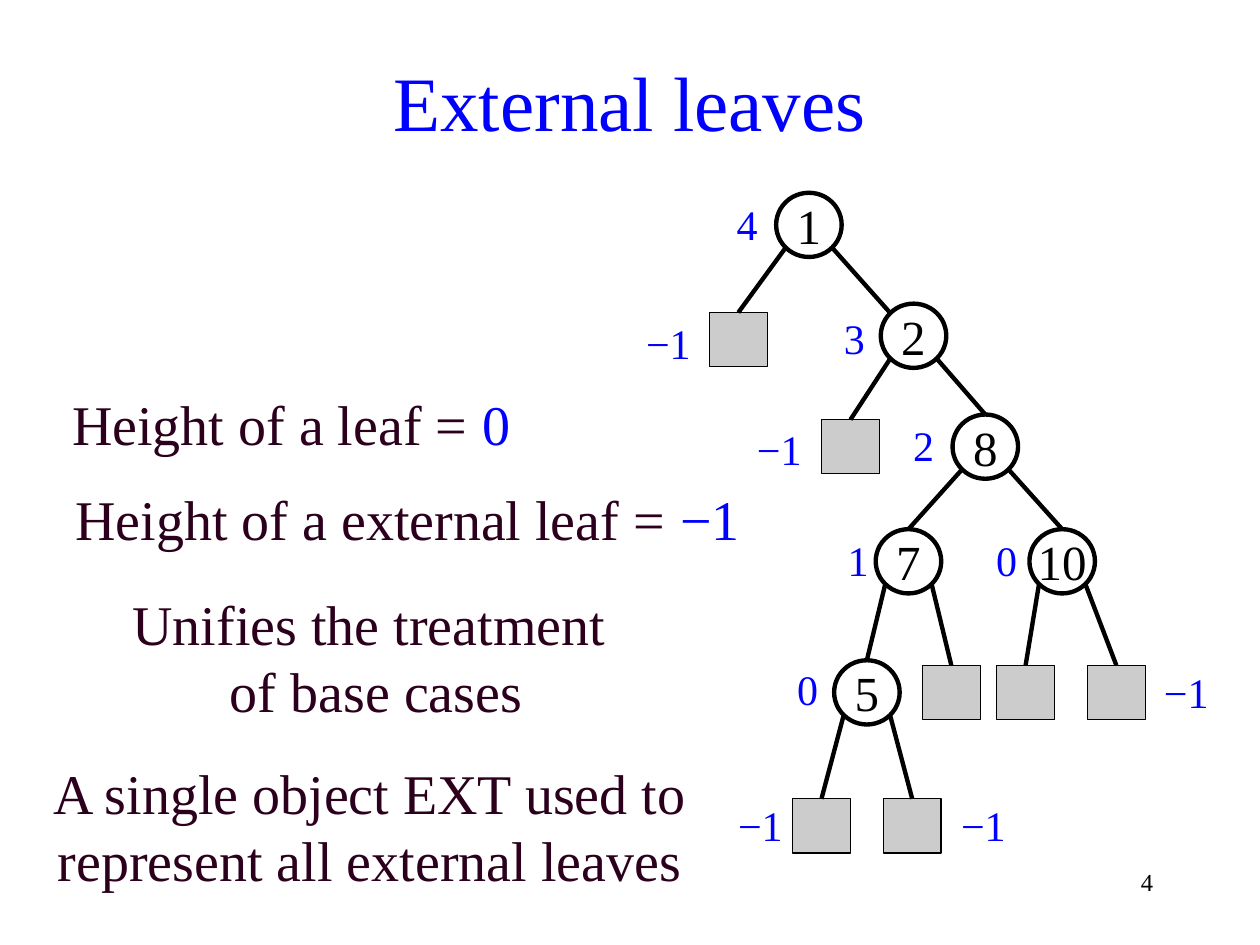
from dataclasses import dataclass
from math import sqrt
from typing import Optional

import pptx
import pptx.dml.color
import pptx.enum.shapes
import pptx.enum.text
import pptx.oxml.ns
import pptx.util
from lxml import etree

RGBColor = pptx.dml.color.RGBColor
BLACK = RGBColor(0x00, 0x00, 0x00)
BLUE = RGBColor(0x00, 0x00, 0xFF)
PLUM = RGBColor(0x2C, 0x00, 0x1D)
GREY = RGBColor(0xCC, 0xCC, 0xCC)

ALIGN = pptx.enum.text.PP_ALIGN
ANCHOR = pptx.enum.text.MSO_ANCHOR
SHAPE = pptx.enum.shapes.MSO_SHAPE

FONT = "Times New Roman"
COLUMNS, ROWS = 100, 75
CELL = pptx.util.Inches(0.1)
NODE_WIDTH, NODE_HEIGHT = 5.2, 5.1
LEAF_WIDTH, LEAF_HEIGHT = 4.6, 4.3
LABEL_HEIGHT = 5
NODE_LABEL_WIDTH, LEAF_LABEL_WIDTH = 5.2, 6.5
DIAGONAL = sqrt(0.5)
LEFT, RIGHT = -1, 1


@dataclass(frozen=True)
class Span:
    text: str
    color: RGBColor


@dataclass(frozen=True)
class Caption:
    left: float
    top: float
    width: float
    lines: tuple[tuple[Span, ...], ...]
    size: int = 32
    height: float = 9.4
    align: ALIGN = ALIGN.CENTER
    anchor: ANCHOR = ANCHOR.MIDDLE


@dataclass(frozen=True)
class Node:
    key: str
    left: float
    top: float
    height: str
    label_left: float
    label_top: float


@dataclass(frozen=True)
class Leaf:
    parent: str
    side: int
    left: float
    top: float
    label_left: Optional[float] = None
    label_top: Optional[float] = None


@dataclass(frozen=True)
class Branch:
    parent: str
    child: str
    side: int
    to_top: bool = True


CAPTIONS = (
    Caption(0, 3.3, COLUMNS, ((Span("External leaves", BLUE),),), size=44),
    Caption(2.4, 28.9, 41.4,
            ((Span("Height of a leaf = ", PLUM), Span("0", BLUE)),)),
    Caption(2.4, 36.4, 59.9,
            ((Span("Height of a external leaf = ", PLUM), Span("−1", BLUE)),)),
    Caption(3.9, 47.4, 50.8,
            ((Span("Unifies the treatment", PLUM),),
             (Span(" of base cases", PLUM),))),
    Caption(2.4, 60.8, 53.9,
            ((Span("A single object EXT used to represent all external leaves",
                   PLUM),),)),
    Caption(71.7, 68.3, 20.8, ((Span("4", BLACK),),), size=14,
            height=5, align=ALIGN.RIGHT, anchor=ANCHOR.TOP),
)
NODES = (
    Node("1", 61.6, 15.3, "4", 56.7, 15.3),
    Node("2", 69.9, 24.1, "3", 65.2, 24.3),
    Node("8", 75.6, 32.9, "2", 70.7, 32.8),
    Node("7", 69.5, 42, "1", 65.5, 41.9),
    Node("10", 81.7, 42, "0", 77.3, 41.9),
    Node("5", 66.2, 52.4, "0", 61.5, 52.2),
)
BRANCHES = (
    Branch("1", "2", RIGHT, to_top=False),
    Branch("2", "8", RIGHT),
    Branch("8", "7", LEFT),
    Branch("8", "10", RIGHT),
    Branch("7", "5", LEFT),
)
LEAVES = (
    Leaf("1", LEFT, 56.3, 24.8, 49.8, 24.7),
    Leaf("2", LEFT, 65.2, 33.3, 58.6, 33.1),
    Leaf("7", RIGHT, 73.2, 52.8),
    Leaf("10", LEFT, 79.1, 52.8),
    Leaf("10", RIGHT, 86.3, 52.8, 90.9, 52.4),
    Leaf("5", LEFT, 62.9, 63.4, 57.1, 63),
    Leaf("5", RIGHT, 70.1, 63.4, 74.8, 63),
)


def cells(*counts: float) -> list[int]:
    return [round(count * CELL) for count in counts]


def add_span(para, text: str, size: int, color: RGBColor) -> None:
    span = para.add_run()
    span.text = text
    span.font.name = FONT
    span.font.size = pptx.util.Pt(size)
    span.font.color.rgb = color


def draw_caption(page, caption: Caption) -> None:
    box = page.shapes.add_textbox(
        *cells(caption.left, caption.top, caption.width, caption.height))
    frame = box.text_frame
    frame.word_wrap = True
    frame.vertical_anchor = caption.anchor
    para = frame.paragraphs[0]
    para.alignment = caption.align
    for number, line in enumerate(caption.lines):
        if number:
            para.add_line_break()
        for span in line:
            add_span(para, span.text, caption.size, span.color)


def draw_label(page, text: str, left: float, top: float, width: float) -> None:
    draw_caption(page, Caption(left, top, width, ((Span(text, BLUE),),), size=24,
                               height=LABEL_HEIGHT, anchor=ANCHOR.TOP))


def draw_outline(page, kind, left: float, top: float, width: float,
                 height: float, weight: float):
    shape = page.shapes.add_shape(kind, *cells(left, top, width, height))
    shape.shadow.inherit = False
    shape.fill.background()
    shape.line.color.rgb = BLACK
    shape.line.width = pptx.util.Pt(weight)
    return shape


def draw_node(page, node: Node):
    circle = draw_outline(page, SHAPE.OVAL, node.left, node.top,
                          NODE_WIDTH, NODE_HEIGHT, 2.5)
    frame = circle.text_frame
    frame.word_wrap = False
    frame.vertical_anchor = ANCHOR.MIDDLE
    para = frame.paragraphs[0]
    para.alignment = ALIGN.CENTER
    add_span(para, node.key, 28, BLACK)
    draw_label(page, node.height, node.label_left, node.label_top,
               NODE_LABEL_WIDTH)
    return circle


def draw_leaf(page, leaf: Leaf):
    square = draw_outline(page, SHAPE.RECTANGLE, leaf.left, leaf.top,
                          LEAF_WIDTH, LEAF_HEIGHT, 0.75)
    square.fill.solid()
    square.fill.fore_color.rgb = GREY
    if leaf.label_left is not None:
        draw_label(page, "−1", leaf.label_left, leaf.label_top,
                   LEAF_LABEL_WIDTH)
    return square


def rim_point(circle, across: int, down: int) -> tuple[int, int]:
    return (round(circle.left + circle.width / 2 * (1 + across * DIAGONAL)),
            round(circle.top + circle.height / 2 * (1 + down * DIAGONAL)))


def draw_edge(page, parent, child, side: int, to_top: bool = True) -> None:
    edge = page.shapes.add_connector(
        pptx.enum.shapes.MSO_CONNECTOR.STRAIGHT,
        *rim_point(parent, side, 1), *rim_point(child, -side, -1))
    if to_top:
        edge.end_connect(child, 0)
    edge.line.color.rgb = BLACK
    edge.line.width = pptx.util.Pt(2.5)
    etree.SubElement(edge._element.spPr, pptx.oxml.ns.qn("a:effectLst"))


def main() -> None:
    deck = pptx.Presentation()
    deck.slide_width, deck.slide_height = cells(COLUMNS, ROWS)
    page = deck.slides.add_slide(deck.slide_layouts[6])
    for caption in CAPTIONS:
        draw_caption(page, caption)
    circles = {node.key: draw_node(page, node) for node in NODES}
    for branch in BRANCHES:
        draw_edge(page, circles[branch.parent], circles[branch.child],
                  branch.side, branch.to_top)
    for leaf in LEAVES:
        draw_edge(page, circles[leaf.parent], draw_leaf(page, leaf), leaf.side)
    deck.save("out.pptx")


if __name__ == "__main__":
    main()
